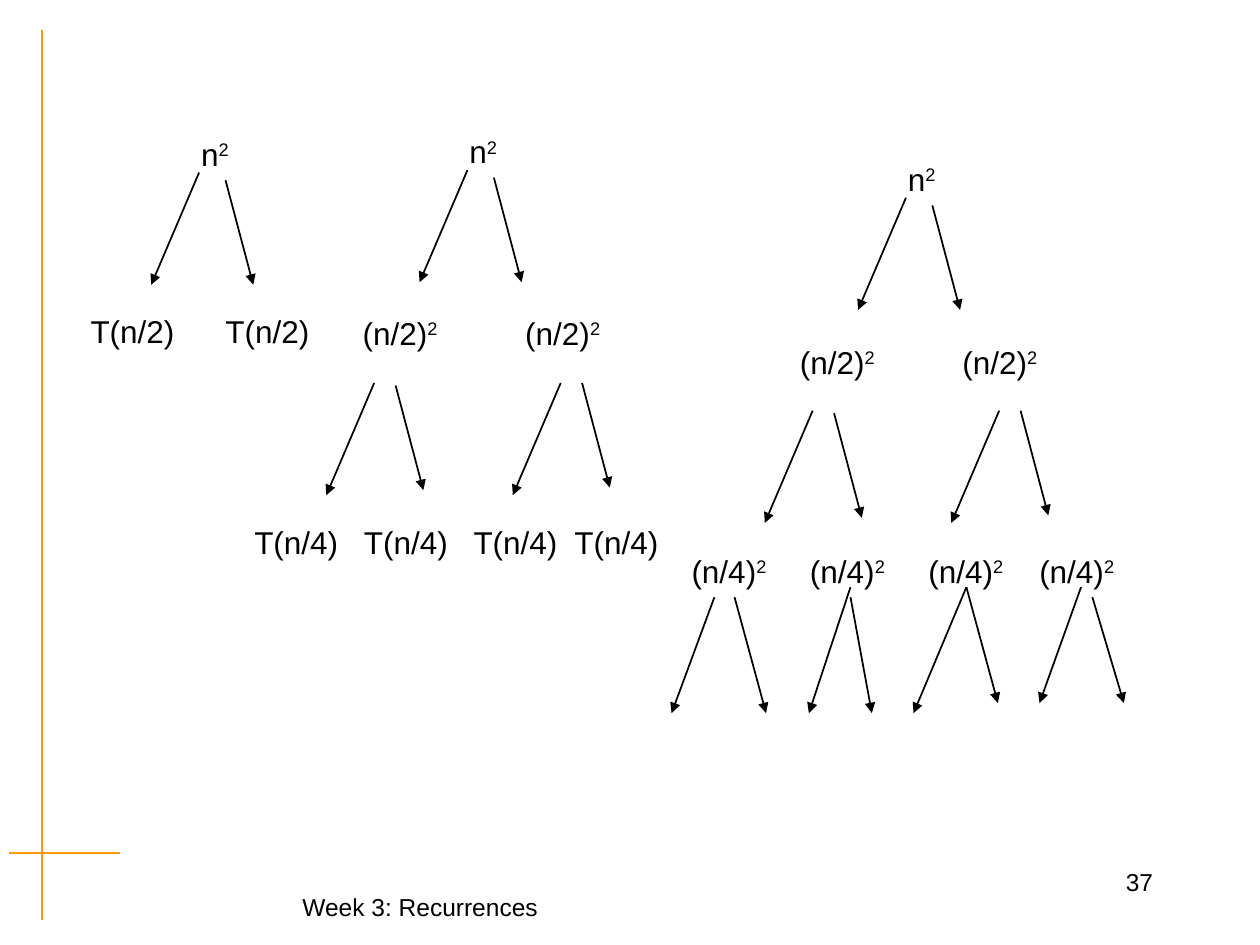
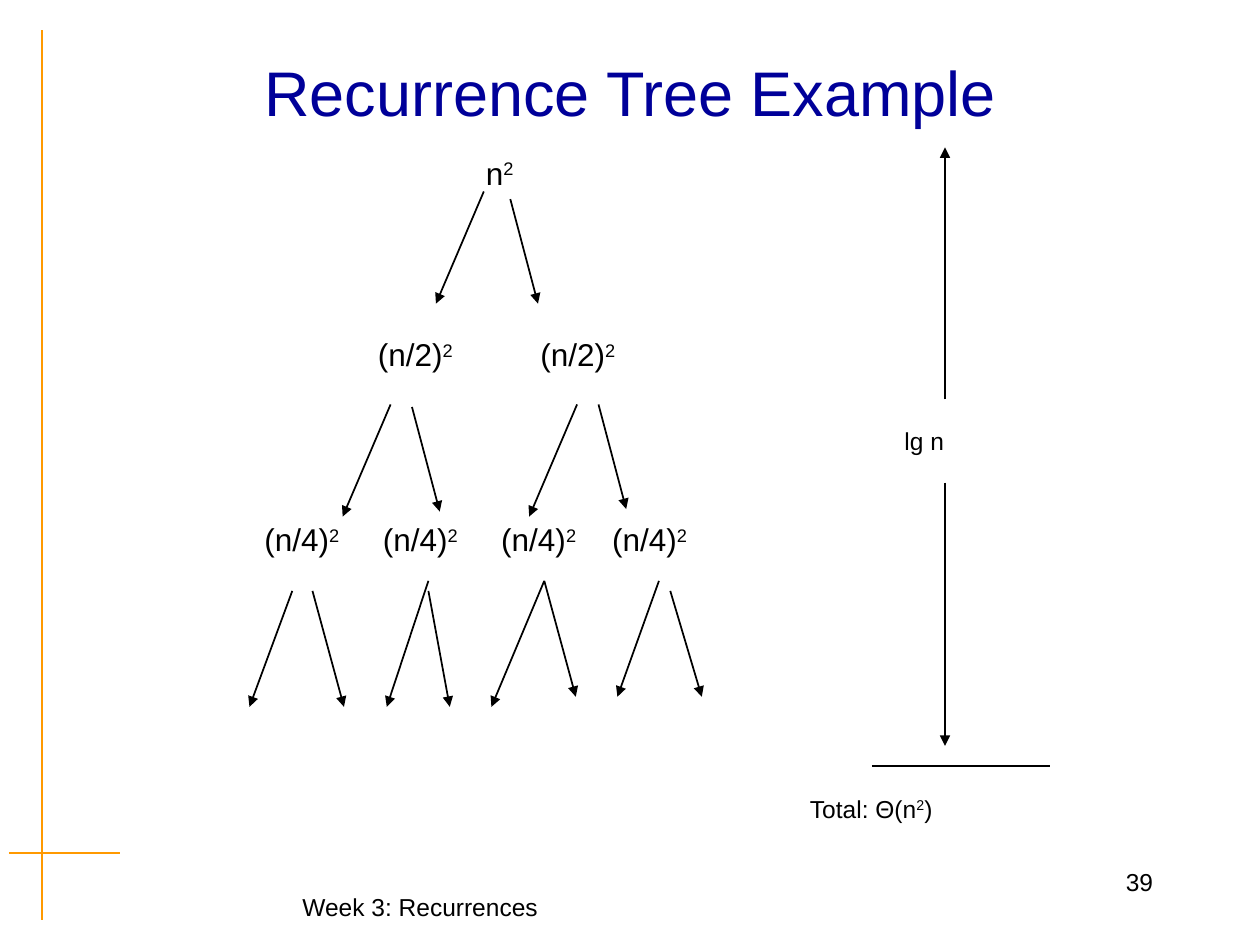
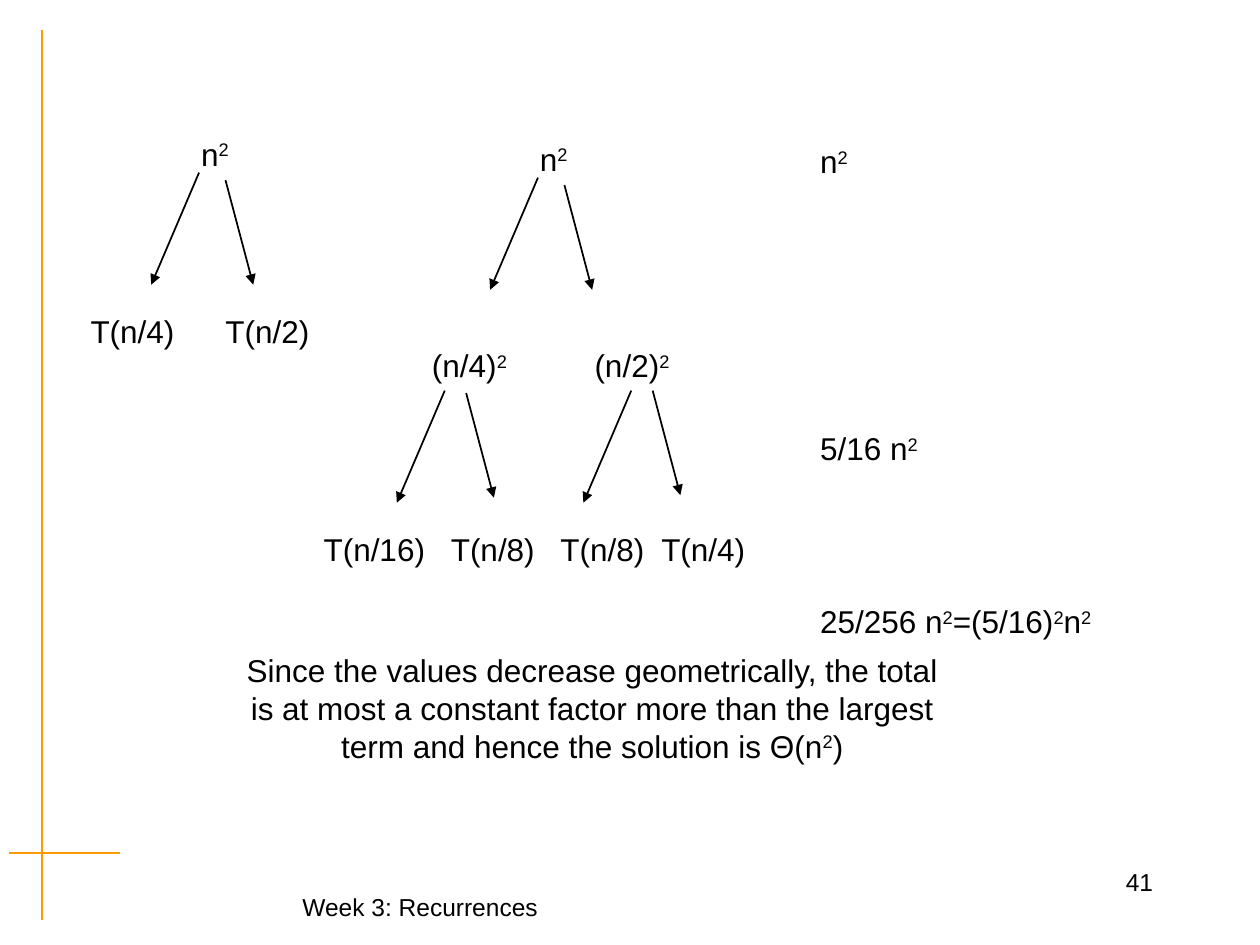
from lxml import etree
from pptx import Presentation
from pptx.dml.color import RGBColor
from pptx.enum.shapes import MSO_CONNECTOR as Connector
from pptx.enum.text import MSO_ANCHOR as Anchor, PP_ALIGN as Align
from pptx.oxml.ns import qn
from pptx.util import Inches, Pt

COLORS = {"text": "000000", "title": "000099", "rule": "FF9900"}

# Offsets of the arrows at each tree level from the corner of the root label
LEVEL_ARROWS = [
    [(0.17, 0.35, -0.21, 1.24), (0.38, 0.41, 0.6, 1.24)],
    [(-0.57, 2.04, -0.95, 2.93), (-0.4, 2.06, -0.18, 2.89),
     (0.91, 2.04, 0.53, 2.93), (1.08, 2.04, 1.3, 2.87)],
    [(-1.35, 3.52, -1.69, 4.44), (-1.19, 3.52, -0.94, 4.44),
     (-0.27, 3.44, -0.6, 4.44), (-0.27, 3.52, -0.1, 4.44),
     (0.65, 3.44, 0.23, 4.44), (0.65, 3.44, 0.9, 4.36),
     (1.56, 3.44, 1.23, 4.36), (1.65, 3.52, 1.9, 4.36)],
]
HALVES = "(n/2)^2\t(n/2)^2"
QUARTERS = "(n/4)^2\t(n/4)^2\t(n/4)^2\t(n/4)^2"
SQUARE_TABS = [1.29]
LEAF_TABS = [0.94, 1.88, 2.76]


def add_text(page, area, paragraphs, size=18, align=Align.LEFT, tabs=(), gaps=(0,)):
    """Add a text box; ^ raises the next character, gaps are points before paragraphs."""
    box = page.shapes.add_textbox(*map(Inches, area))
    frame = box.text_frame
    frame.word_wrap = True
    for index, (text, gap) in enumerate(zip(paragraphs, gaps)):
        para = frame.add_paragraph() if index else frame.paragraphs[0]
        para.alignment = align
        if gap:
            para.space_before = Pt(gap)
        if tabs:
            stops = etree.SubElement(para._p.get_or_add_pPr(), qn("a:tabLst"))
            for tab in tabs:
                etree.SubElement(stops, qn("a:tab"), pos=str(Inches(tab)), algn="l")
        first, *raised = text.split("^")
        pieces = [(first, False)]
        for piece in raised:
            pieces += [(piece[0], True), (piece[1:], False)]
        for piece, is_raised in pieces:
            if not piece:
                continue
            span = para.add_run()
            span.text = piece
            for name, value in {"name": "Arial", "size": Pt(size)}.items():
                setattr(span.font, name, value)
            span.font.color.rgb = RGBColor.from_string(COLORS["text"])
            if is_raised:
                span._r.get_or_add_rPr().set("baseline", "30000")
    return box


def add_line(page, ends, color="text", width=1, arrow=True):
    line = page.shapes.add_connector(Connector.STRAIGHT, *map(Inches, ends))
    line.line.color.rgb = RGBColor.from_string(COLORS[color])
    line.line.width = Pt(width)
    if arrow:
        etree.SubElement(line.line._get_or_add_ln(), qn("a:tailEnd"), type="triangle")
    etree.SubElement(line._element.spPr, qn("a:effectLst"))
    return line


deck = Presentation()
deck.slide_width, deck.slide_height = Inches(10), Inches(7.5)
title_only, blank = deck.slide_layouts[5], deck.slide_layouts[6]
expansion, example, uneven = [
    deck.slides.add_slide(layout) for layout in (blank, title_only, blank)]

# Title
title = example.shapes.title
title_area = {"left": 0.75, "top": 0.37, "width": 8.5, "height": 0.71}
for name, value in title_area.items():
    setattr(title, name, Inches(value))
title.text_frame.text = "Recurrence Tree Example"
title.text_frame.vertical_anchor = Anchor.MIDDLE
para = title.text_frame.paragraphs[0]
para.alignment = Align.CENTER
title_font = para.runs[0].font
for name, value in {"name": "Arial", "size": Pt(36)}.items():
    setattr(title_font, name, value)
title_font.color.rgb = RGBColor.from_string(COLORS["title"])

# Trees: page, root corner, then rows of (left and top offset, width, text, tabs)
trees = [
    (expansion, 1.41, 1.02, [(-0.79, 1.41, 2.09, "T(n/2)\tT(n/2)", [1.07])]),
    (expansion, 3.54, 1, [
        (-0.76, 1.44, 2.51, HALVES, SQUARE_TABS),
        (-1.62, 3.1, 4.16, "T(n/4)\tT(n/4)\tT(n/4)\tT(n/4)", [0.87, 1.74, 2.54])]),
    (expansion, 7.02, 1.22, [
        (-0.77, 1.45, 2.51, HALVES, SQUARE_TABS),
        (-1.63, 3.11, 4.16, QUARTERS, LEAF_TABS)]),
    (example, 3.67, 1.17, [
        (-0.77, 1.44, 2.51, HALVES, SQUARE_TABS),
        (-1.67, 2.91, 4.16, QUARTERS, LEAF_TABS)]),
    (uneven, 1.41, 1.02, [(-0.79, 1.41, 2.09, "T(n/4)\tT(n/2)", [1.07])]),
    (uneven, 4.1, 1.06, [
        (-0.77, 1.64, 2.51, "(n/4)^2\t(n/2)^2", SQUARE_TABS),
        (-1.63, 3.1, 4.16, "T(n/16)\tT(n/8)\tT(n/8)\tT(n/4)", [1.01, 1.88, 2.68])]),
]
for page, left, top, rows in trees:
    add_text(page, (left, top, 0.59, 0.4), ["n^2"], align=Align.CENTER)
    for row_left, row_top, width, labels, tabs in rows:
        add_text(page, (left + row_left, top + row_top, width, 0.4), [labels], tabs=tabs)
    depth = 3 if rows[-1][3] == QUARTERS else len(rows)
    for arrows in LEVEL_ARROWS[:depth]:
        for x1, y1, x2, y2 in arrows:
            add_line(page, (left + x1, top + y1, left + x2, top + y2))

# Height and total of the example tree
for start, end in [(3.17, 1.17), (3.83, 5.92)]:
    add_line(example, (7.5, start, 7.5, end))
add_text(example, (7.08, 3.33, 1.5, 0.34), ["lg n"], size=14)
add_line(example, (6.92, 6.08, 8.33, 6.08), arrow=False)
add_text(example, (6.33, 6.25, 2.17, 0.34), ["Total: Θ(n^2)"], size=14)

# Level sums and conclusion of the uneven tree
add_text(uneven, (6.41, 1.08, 2.61, 4.05),
         ["n^2", "5/16 n^2", "25/256 n^2=(5/16)^2n^2"], gaps=(0, 142.5, 77))
add_text(uneven, (1.83, 5.12, 5.74, 1),
         ["Since the values decrease geometrically, the total is at most a constant "
          "factor more than the largest term and hence the solution is Θ(n^2)"],
         align=Align.CENTER)

for page, number in zip(deck.slides, (37, 39, 41)):
    add_text(page, (7.17, 6.83, 2.08, 0.5), [str(number)], size=14, align=Align.RIGHT)

# Rules and footer are drawn on the last page, then moved to the master
shared = [
    add_line(uneven, ends, color="rule", width=1.19, arrow=False)
    for ends in [(0.33, 0.24, 0.33, 7.3), (0.07, 6.77, 0.95, 6.77)]]
shared.append(add_text(uneven, (0.88, 7.03, 4.91, 0.34), ["Week 3: Recurrences"],
                       size=14, align=Align.CENTER))
for shape in shared:
    deck.slide_master.shapes.element.append(shape.element)

deck.save("out.pptx")
